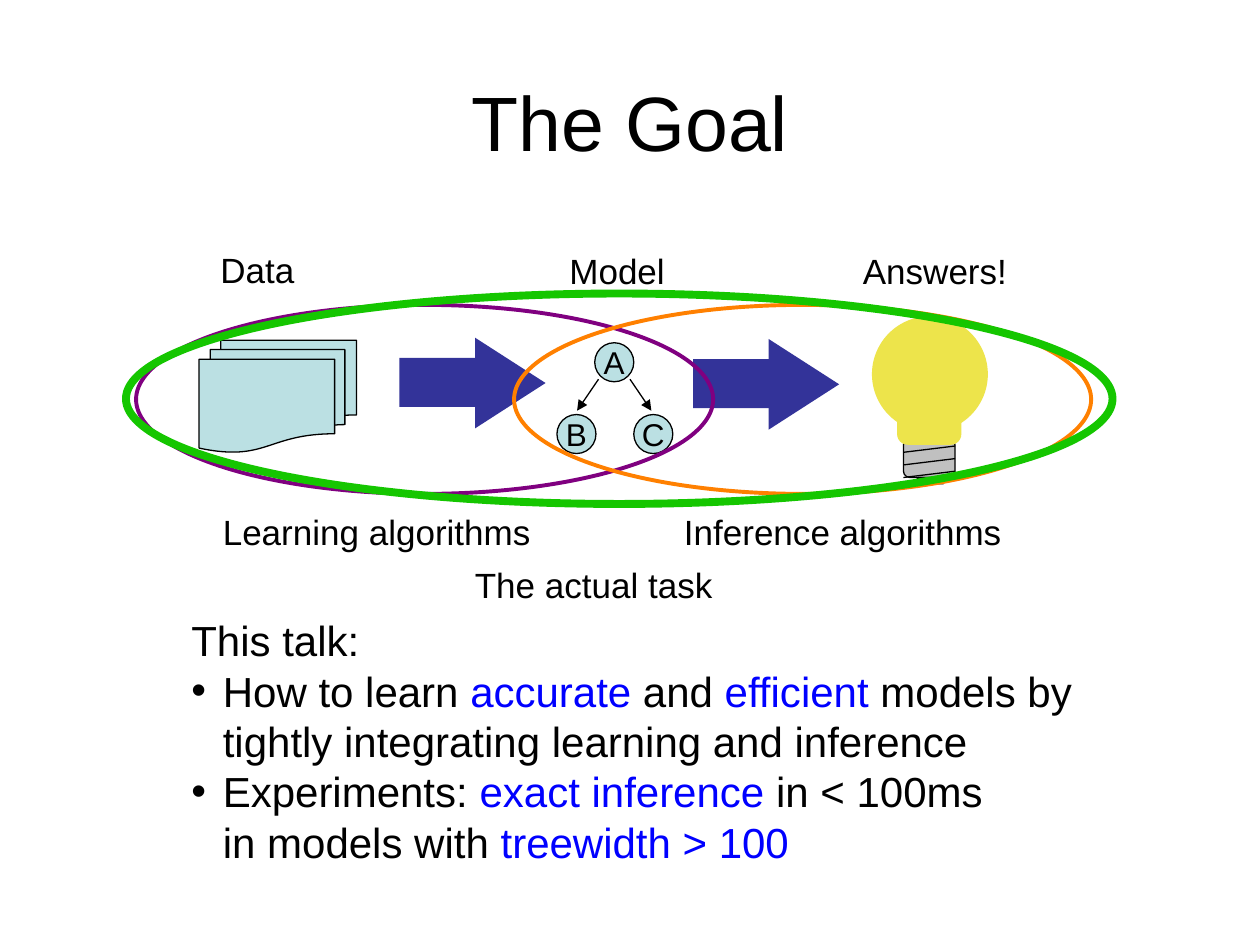
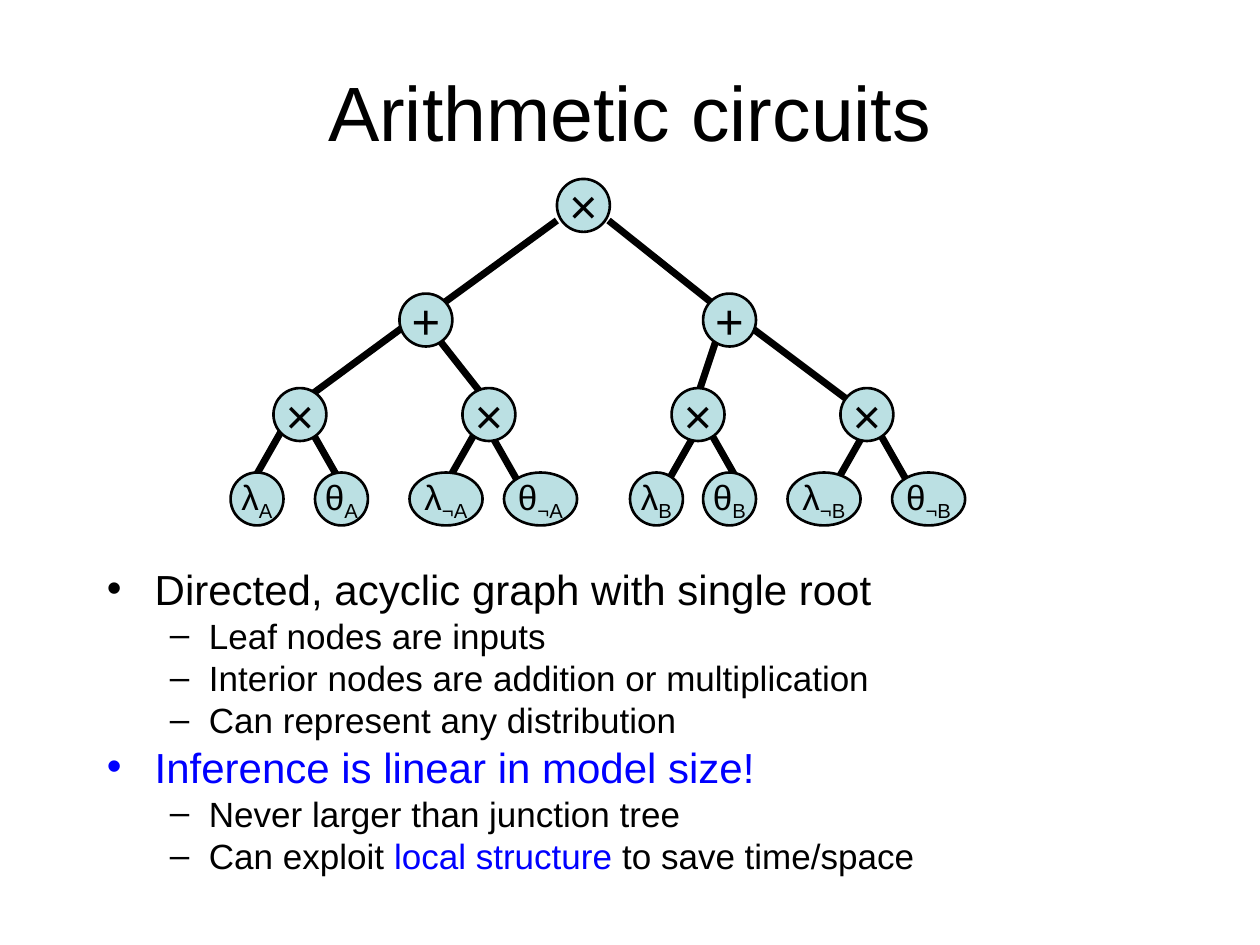
import lxml.etree
import pptx
import pptx.dml.color
import pptx.enum.shapes
import pptx.enum.text
import pptx.oxml.ns
import pptx.util

Inches = pptx.util.Inches
Pt = pptx.util.Pt
SHAPE = pptx.enum.shapes.MSO_SHAPE
STRAIGHT = pptx.enum.shapes.MSO_CONNECTOR.STRAIGHT
ALIGN = pptx.enum.text.PP_ALIGN
ANCHOR = pptx.enum.text.MSO_ANCHOR
FIT = pptx.enum.text.MSO_AUTO_SIZE.SHAPE_TO_FIT_TEXT
qn = pptx.oxml.ns.qn

FONT = "Arial"
BLACK, BLUE, PALE = "000000", "0000FF", "BBE0E3"
INDIGO, YELLOW, SILVER = "333399", "EDE44B", "C0C0C0"

# Text between asterisks is set in blue.
LABELS = [
    ("Data", 1.65, 1.92, 0.82), ("Model", 4.42, 1.93, 0.99),
    ("Answers!", 6.75, 1.93, 1.37),
    ("Learning algorithms", 1.67, 4, 2.67),
    ("Inference algorithms", 5.33, 4, 2.75),
    ("The actual task", 3.67, 4.42, 2.12),
]
TALK = [
    ("", "This talk:"),
    ("•", "How to learn *accurate* and *efficient* models by\n"
          "tightly integrating learning and inference"),
    ("•", "Experiments: *exact inference* in < 100ms\n"
          "in models with *treewidth > 100*"),
]
MODEL_NODES = [("A", 4.72, 2.72), ("B", 4.42, 3.29), ("C", 5.03, 3.29)]
MODEL_ARROWS = [((4.75, 3.01), (4.58, 3.26)), ((5, 3.01), (5.17, 3.26))]
BLOCK_ARROWS = [(3.17, 2.76), (5.5, 2.77)]
SCOPES = [
    ((1.08, 2.42, 4.58, 1.5), "800080", 2.25),
    ((4.08, 2.42, 4.58, 1.5), "FF8000", 2.25),
    ((1, 2.33, 7.83, 1.67), "15C600", 4.5),
]

CIRCUIT_POINTS = [
    (0, "Directed, acyclic graph with single root"),
    (1, "Leaf nodes are inputs"),
    (1, "Interior nodes are addition or multiplication"),
    (1, "Can represent any distribution"),
    (0, "*Inference is linear in model size!*"),
    (1, "Never larger than junction tree"),
    (1, "Can exploit *local structure* to save time/space"),
]
POINT_STYLES = [  # bullet, size, left indent, hanging, space before
    ("•", 24, 0.38, 0.38, 6),
    ("–", 20, 0.81, 0.31, 5),
]
OPERATORS = [
    ("×", 4.42, 1.42), ("+", 3.17, 2.33), ("+", 5.58, 2.33),
    ("×", 2.17, 3.08), ("×", 3.67, 3.08), ("×", 5.33, 3.08), ("×", 6.67, 3.08),
]
LEAVES = [
    ("A", 0.42, 1.83, 2.5), ("¬A", 0.58, 3.25, 4),
    ("B", 0.42, 5, 5.58), ("¬B", 0.58, 6.25, 7.08),
]
UPPER_EDGES = [
    ((4.42, 1.75), (3.5, 2.42)), ((4.83, 1.75), (5.67, 2.42)),
    ((3.33, 2.5), (2.42, 3.17)), ((3.33, 2.5), (3.92, 3.25)),
    ((5.75, 2.5), (5.5, 3.25)), ((5.83, 2.5), (6.83, 3.25)),
]
# Where the left and the right leaf edge of each product start.
LEAF_EDGE_TOPS = [((2.33, 3.25), (2.42, 3.33))] + [
    ((x, 3.33), (x, 3.33)) for x in (3.83, 5.58, 6.92)]


def rgb(color):
    return pptx.dml.color.RGBColor.from_string(color)


def style_span(span, size, color=BLACK):
    span.font.name, span.font.size = FONT, Pt(size)
    span.font.color.rgb = rgb(color)


def add_spans(para, text, size):
    """Fill para, with blue between asterisks and line breaks at newlines."""
    for i, piece in enumerate(text.split("*")):
        for j, line in enumerate(piece.split("\n")):
            if j:
                para.add_line_break()
            if line:
                span = para.add_run()
                span.text = line
                style_span(span, size, BLUE if i % 2 else BLACK)


def set_bullet(para, char, color, left, hanging):
    props = para._p.get_or_add_pPr()
    props.set("marL", str(Inches(left)))
    props.set("indent", str(-Inches(hanging)))
    if char:
        tint = lxml.etree.SubElement(props, qn("a:buClr"))
        lxml.etree.SubElement(tint, qn("a:srgbClr")).set("val", color)
        lxml.etree.SubElement(props, qn("a:buFont")).set("typeface", FONT)
        lxml.etree.SubElement(props, qn("a:buChar")).set("char", char)


def add_box(page, at, wrap=True):
    box = page.shapes.add_textbox(*map(Inches, at))
    box.text_frame.word_wrap = wrap
    return box


def paragraphs(frame, count):
    return [frame.paragraphs[0]] + [frame.add_paragraph() for _ in range(count - 1)]


def add_title(page, text, top):
    frame = add_box(page, (0.75, top, 8.5, 1.25)).text_frame
    frame.vertical_anchor = ANCHOR.MIDDLE
    frame.text = text
    frame.paragraphs[0].alignment = ALIGN.CENTER
    style_span(frame.paragraphs[0].runs[0], 44)


def add_form(shapes, kind, at, fill=None, line=None, width=0.75):
    form = shapes.add_shape(kind, *map(Inches, at))
    form.shadow.inherit = False
    if fill:
        form.fill.solid()
        form.fill.fore_color.rgb = rgb(fill)
    else:
        form.fill.background()
    if line:
        form.line.color.rgb = rgb(line)
        form.line.width = Pt(width)
    else:
        form.line.fill.background()
    return form


def add_line(shapes, start, end, width=0.75, arrow=False):
    line = shapes.add_connector(STRAIGHT, *map(Inches, start + end))
    line.line.color.rgb = rgb(BLACK)
    line.line.width = Pt(width)
    props = line._element.spPr
    if arrow:
        outline = props.find(qn("a:ln"))
        lxml.etree.SubElement(outline, qn("a:tailEnd")).set("type", "triangle")
    lxml.etree.SubElement(props, qn("a:effectLst"))


def add_node(shapes, at, text, size, width, subscript=""):
    node = add_form(shapes, SHAPE.OVAL, at, PALE, BLACK, width)
    frame = node.text_frame
    frame.word_wrap = False
    frame.vertical_anchor = ANCHOR.MIDDLE
    frame.text = text
    para = frame.paragraphs[0]
    para.alignment = ALIGN.CENTER
    if subscript:
        span = para.add_run()
        span.text = subscript
        span._r.get_or_add_rPr().set("baseline", "-25000")
    for span in para.runs:
        style_span(span, size)


def add_block_arrow(page, left, top):
    shapes = page.shapes.add_group_shape().shapes
    add_form(shapes, SHAPE.RECTANGLE, (left, top + 0.08, 0.61, 0.39), INDIGO)
    head = add_form(shapes, SHAPE.ISOSCELES_TRIANGLE,
                    (left + 0.52, top, 0.72, 0.56), INDIGO)
    head.rotation = 90


def add_bulb(page):
    shapes = page.shapes.add_group_shape().shapes
    rounded = SHAPE.ROUNDED_RECTANGLE
    add_form(shapes, rounded, (7.17, 3.48, 0.41, 0.31), SILVER, BLACK)
    add_form(shapes, rounded, (7.12, 3.02, 0.51, 0.51), YELLOW)
    add_form(shapes, SHAPE.OVAL, (6.92, 2.51, 0.92, 0.92), YELLOW)
    for y in (3.59, 3.69, 3.79):
        add_line(shapes, (7.17, y), (7.58, y - 0.05))
    add_form(shapes, rounded, (7.28, 3.79, 0.21, 0.05), BLACK, BLACK)


def build_goal(page):
    add_title(page, "The Goal", 0.33)
    add_form(page.shapes, SHAPE.FLOWCHART_MULTIDOCUMENT,
             (1.58, 2.7, 1.25, 0.89), PALE, BLACK)
    for name, left, top in MODEL_NODES:
        add_node(page.shapes, (left, top, 0.31, 0.31), name, 18, 0.75)
    for left, top in BLOCK_ARROWS:
        add_block_arrow(page, left, top)
    for start, end in MODEL_ARROWS:
        add_line(page.shapes, start, end, arrow=True)
    add_bulb(page)
    for at, color, width in SCOPES:
        add_form(page.shapes, SHAPE.OVAL, at, line=color, width=width)
    for text, left, top, width in LABELS:
        frame = add_box(page, (left, top, width, 0.44), wrap=False).text_frame
        frame.text = text
        style_span(frame.paragraphs[0].runs[0], 20)
    frame = add_box(page, (1.42, 4.83, 7.28, 2.1)).text_frame
    frame.auto_size = FIT
    for para, (bullet, text) in zip(paragraphs(frame, len(TALK)), TALK):
        set_bullet(para, bullet, BLACK, 0.25, 0.25)
        add_spans(para, text, 24)


def build_circuits(page):
    add_title(page, "Arithmetic circuits", 0.25)
    frame = add_box(page, (0.75, 4.5, 8.5, 2.58)).text_frame
    paras = paragraphs(frame, len(CIRCUIT_POINTS))
    for i, (para, (level, text)) in enumerate(zip(paras, CIRCUIT_POINTS)):
        bullet, size, left, hanging, before = POINT_STYLES[level]
        color = BLUE if text.startswith("*") else BLACK
        set_bullet(para, bullet, color, left, hanging)
        para.level = level
        para.line_spacing = 0.8
        para.space_before = Pt(before if i else 0)
        add_spans(para, text, size)

    tree = page.shapes.add_group_shape().shapes
    for start, end in UPPER_EDGES:
        add_line(tree, start, end, 4)
    for tops in LEAF_EDGE_TOPS:
        for (x, y), side in zip(tops, (-1, 1)):
            add_line(tree, (x, y), (x + side * 0.33, y + 0.58), 4)
    for sign, left, top in OPERATORS:
        add_node(tree, (left, top, 0.42, 0.42), sign, 28, 1.5)
    for variable, width, *lefts in LEAVES:
        for symbol, left in zip("λθ", lefts):
            add_node(tree, (left, 3.75, width, 0.42), symbol, 20, 1.5, variable)


def main():
    deck = pptx.Presentation()
    deck.slide_width, deck.slide_height = Inches(10), Inches(7.5)
    for build in (build_goal, build_circuits):
        build(deck.slides.add_slide(deck.slide_layouts[6]))
    deck.save("out.pptx")


if __name__ == "__main__":
    main()
